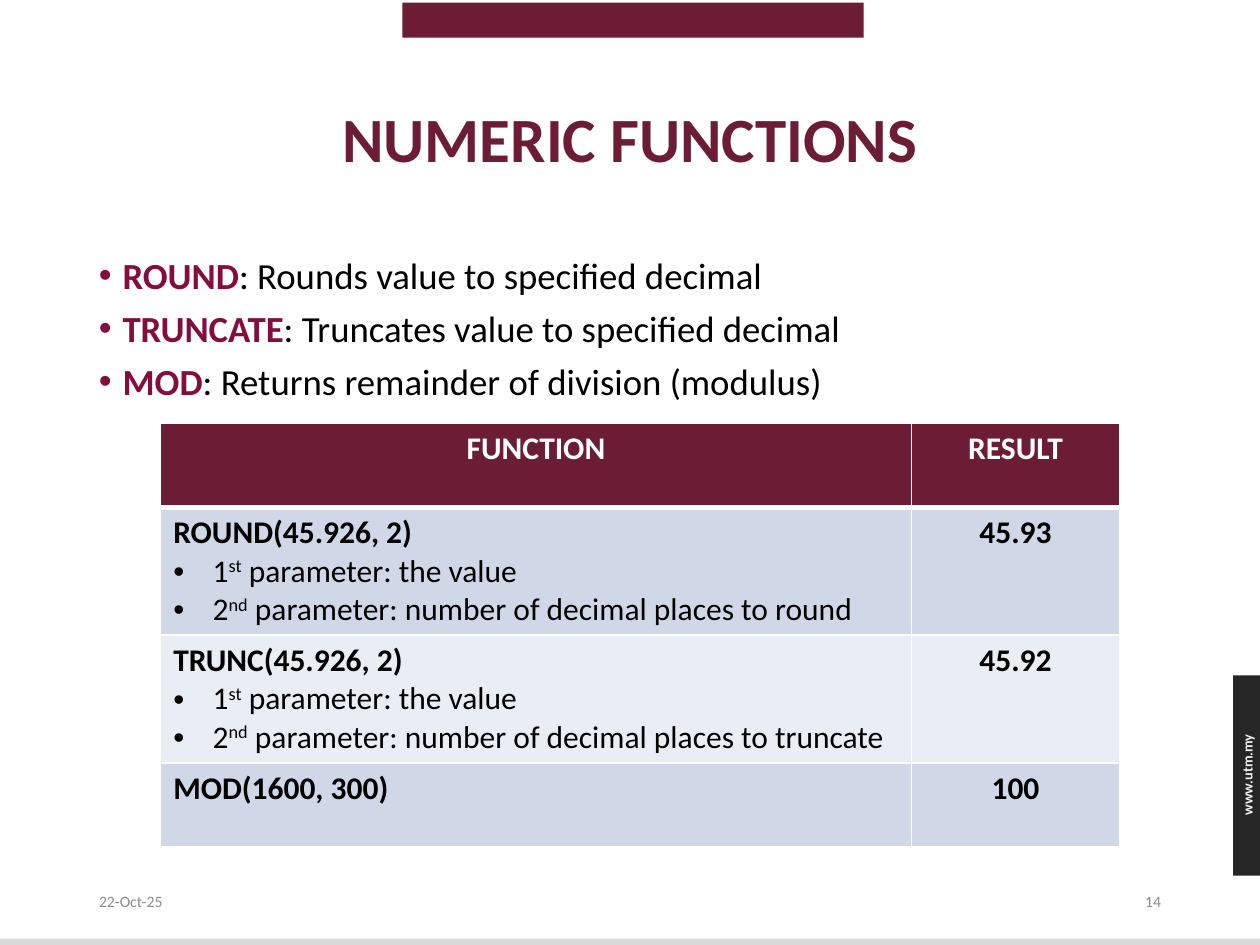
from lxml import etree
from pptx import Presentation
from pptx import util as u
from pptx.dml.color import RGBColor
from pptx.enum import shapes, text
from pptx.oxml import ns

COLOURS = {
    "maroon": "6C1D35", "term": "830E3E", "black": "000000", "white": "FFFFFF",
    "grey": "8C8C8C", "strip": "D9D9D9", "dark": "262626", "pale": "F2F2F2",
    "band": "D0D8E8", "light": "E9EDF4",
}
ALIGN = text.PP_ALIGN
ANCHOR = text.MSO_ANCHOR


def rgb(name):
    return RGBColor.from_string(COLOURS[name])


class Page:
    """House style and the slide being filled; lengths are in points."""
    face = "Calibri"

    def __init__(self, deck):
        self.slide = deck.slides.add_slide(deck.slide_layouts[5])

    def style(self, para, size, colour, bold=False, align=ALIGN.LEFT):
        para.alignment = align
        para.font.name = self.face
        para.font.size = u.Pt(size)
        para.font.bold = bold
        para.font.color.rgb = rgb(colour)

    def place(self, box, left, top, width, height):
        box.left, box.top = u.Pt(left), u.Pt(top)
        box.width, box.height = u.Pt(width), u.Pt(height)

    def bullet(self, para, indent, colour):
        props = para._p.get_or_add_pPr()
        props.set("marL", str(u.Pt(indent)))
        props.set("indent", str(-u.Pt(indent)))
        tint = etree.SubElement(props, ns.qn("a:buClr"))
        etree.SubElement(tint, ns.qn("a:srgbClr"), val=COLOURS[colour])
        etree.SubElement(props, ns.qn("a:buFont"), typeface="Arial")
        etree.SubElement(props, ns.qn("a:buChar"), char="•")

    def bar(self, place, colour):
        bar = self.slide.shapes.add_shape(
            shapes.MSO_SHAPE.RECTANGLE, *map(u.Pt, place))
        bar.shadow.inherit = False
        bar.fill.solid()
        bar.fill.fore_color.rgb = rgb(colour)
        bar.line.fill.background()

    def title(self, words, place):
        box = self.slide.shapes.title
        self.place(box, *place)
        box.text_frame.text = words
        box.text_frame.vertical_anchor = ANCHOR.MIDDLE
        para = box.text_frame.paragraphs[0]
        para.line_spacing = 0.9
        self.style(para, 36, "maroon", True, ALIGN.CENTER)

    def textbox(self, place, anchor=ANCHOR.TOP):
        box = self.slide.shapes.add_textbox(*map(u.Pt, place))
        box.text_frame.word_wrap = True
        box.text_frame.vertical_anchor = anchor
        return box

    def label(self, words, place, size, colour, bold=False, align=ALIGN.LEFT,
              rotation=0):
        box = self.textbox(place, ANCHOR.MIDDLE)
        box.rotation = rotation
        para = box.text_frame.paragraphs[0]
        para.text = words
        self.style(para, size, colour, bold, align)

    def definitions(self, entries, place):
        frame = self.textbox(place).text_frame
        for number, (term, meaning) in enumerate(entries):
            para = frame.add_paragraph() if number else frame.paragraphs[0]
            para.line_spacing = 0.9
            para.space_before = u.Pt(7.5 if number else 0)
            self.bullet(para, 13.5, "term")
            self.style(para, 21, "black")
            span = para.add_run()
            span.text = term
            span.font.bold = True
            span.font.color.rgb = rgb("term")
            para.add_run().text = ": " + meaning

    def borders(self, cell, top, bottom):
        props = cell._tc.get_or_add_tcPr()
        for side, width in (("L", 1), ("R", 1), ("T", top), ("B", bottom)):
            line = etree.SubElement(props, ns.qn("a:ln" + side),
                                    w=str(u.Pt(width)))
            fill = etree.SubElement(line, ns.qn("a:solidFill"))
            etree.SubElement(fill, ns.qn("a:srgbClr"), val=COLOURS["white"])

    def parameter(self, para, ordinal, meaning):
        self.bullet(para, 22.5, "black")
        self.style(para, 18, "black")
        for words, raised in ((ordinal[0], False), (ordinal[1:], True),
                              (" parameter: " + meaning, False)):
            span = para.add_run()
            span.text = words
            if raised:
                span._r.get_or_add_rPr().set("baseline", "30000")

    def table(self, rows, left, top, widths, heights):
        grid = self.slide.shapes.add_table(
            len(rows), len(widths),
            *map(u.Pt, (left, top, sum(widths), sum(heights)))).table
        for column, width in zip(grid.columns, widths):
            column.width = u.Pt(width)
        for r, (call, result, parameters) in enumerate(rows):
            grid.rows[r].height = u.Pt(heights[r])
            fill = "maroon" if r == 0 else ("light", "band")[r % 2]
            for c, words in enumerate((call, result)):
                cell = grid.cell(r, c)
                self.borders(cell, 3 if r == 1 else 1, 3 if r == 0 else 1)
                cell.fill.solid()
                cell.fill.fore_color.rgb = rgb(fill)
                para = cell.text_frame.paragraphs[0]
                para.text = words
                self.style(para, 18, "black" if r else "white", True,
                           ALIGN.LEFT if r and c == 0 else ALIGN.CENTER)
            for ordinal, meaning in parameters:
                para = grid.cell(r, 0).text_frame.add_paragraph()
                self.parameter(para, ordinal, meaning)


def main():
    deck = Presentation()
    deck.slide_width, deck.slide_height = u.Pt(720), u.Pt(540)
    page = Page(deck)

    # Frame: top tab, bottom strip and side tab with the address
    page.bar((230, 1.5, 263.5, 20), "maroon")
    page.bar((0, 536.4, 723.6, 8.6), "strip")
    page.bar((704.6, 385.9, 15.4, 114.5), "dark")
    page.label("www.utm.my", (658.1, 434.2, 108.7, 17.3), 8.2, "pale", True,
               ALIGN.CENTER, 270)

    # Title and definitions
    page.title("NUMERIC FUNCTIONS", (49.5, 28.75, 621, 104.4))
    page.definitions([
        ("ROUND", "Rounds value to specified decimal"),
        ("TRUNCATE", "Truncates value to specified decimal"),
        ("MOD", "Returns remainder of division (modulus)"),
    ], (49.5, 143.75, 621, 342.6))

    # Date and page number
    page.label("22-Oct-25", (49.5, 500.5, 162, 28.75), 9, "grey")
    page.label("14", (508.5, 500.5, 162, 28.75), 9, "grey", align=ALIGN.RIGHT)

    # Examples
    value = ("1st", "the value")
    places = "number of decimal places to "
    page.table([
        ("FUNCTION", "RESULT", []),
        ("ROUND(45.926, 2)", "45.93", [value, ("2nd", places + "round")]),
        ("TRUNC(45.926, 2)", "45.92", [value, ("2nd", places + "truncate")]),
        ("MOD(1600, 300)", "100", []),
    ], 91.8, 242, (429, 119), (48, 73, 73, 48))

    deck.save("out.pptx")


if __name__ == "__main__":
    main()
